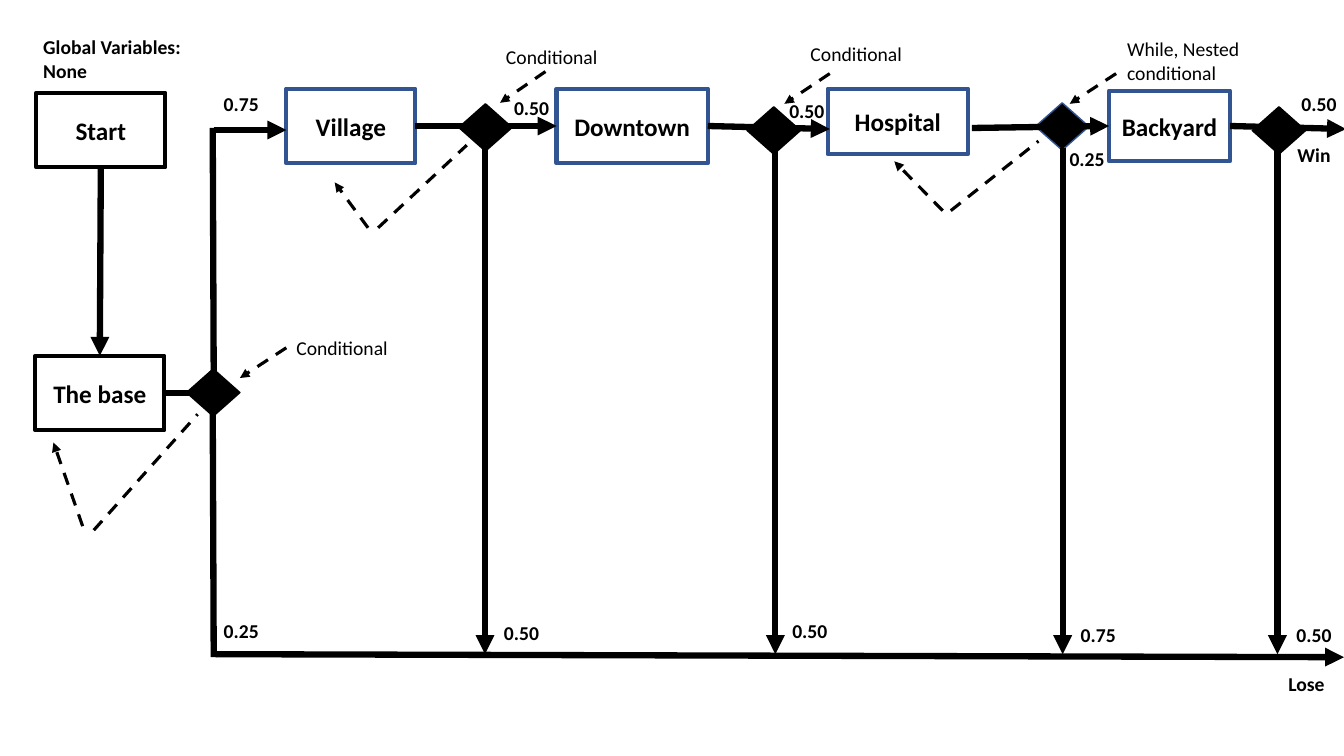
from lxml.etree import SubElement
from pptx import Presentation
from pptx.dml.color import RGBColor
from pptx.enum.dml import MSO_LINE_DASH_STYLE as Dash
from pptx.enum.shapes import MSO_CONNECTOR as Link, MSO_SHAPE as Shape
from pptx.enum.text import MSO_ANCHOR as Anchor, MSO_AUTO_SIZE as Fit, PP_ALIGN as Align
from pptx.oxml.ns import qn
from pptx.util import Inches, Pt

BLACK, BLUE = "000000", "325491"
TOP, LEFT, BOTTOM, RIGHT = range(4)
EXIT_TOP, LOSE_Y = 1.47, 6.49

# name: left, top, width, height, outline
ROOMS = {
    "Start": (0.36, 0.92, 1.28, 0.74, BLACK),
    "The base": (0.35, 3.53, 1.28, 0.74, BLACK),
    "Village": (2.84, 0.88, 1.28, 0.74, BLUE),
    "Downtown": (5.52, 0.88, 1.5, 0.74, BLUE),
    "Hospital": (8.21, 0.88, 1.39, 0.65, BLUE),
    "Backyard": (11, 0.9, 1.2, 0.7, BLUE),
}
# left, top, outline
CHOICES = [
    (1.85, 3.66, BLACK), (4.55, 1.03, BLACK), (7.41, 1.06, BLACK),
    (10.27, 1.02, BLUE), (12.42, 1.06, BLACK),
]
EXITS = [4.81, 7.69, 10.54, 12.67]
# start, end, arrowhead, joined room and side at the start, at the end
FLOWS = [
    ((1, 1.66), (0.99, 3.53), True, ("Start", BOTTOM), ("The base", TOP)),
    ((1.63, 3.9), (2.14, 3.9), False, ("The base", RIGHT), None),
    ((2.12, 3.75), (2.11, 1.27), False, None, None),
    ((2.12, 1.29), (2.84, 1.29), True, None, None),
    ((2.12, 6.52), (2.11, 4.06), False, None, None),
    ((2.14, 6.49), (13.33, 6.52), True, None, None),
    ((4.12, 1.25), (5.52, 1.25), True, ("Village", RIGHT), ("Downtown", LEFT)),
    ((7.02, 1.25), (8.23, 1.28), True, ("Downtown", RIGHT), None),
    ((9.64, 1.27), (11, 1.25), True, None, ("Backyard", LEFT)),
    ((12.2, 1.25), (13.35, 1.28), True, ("Backyard", RIGHT), None),
]
# start, end, arrowhead
HINTS = [
    ((2.84, 3.45), (2.38, 3.75), True),
    ((5.41, 0.71), (4.96, 1.02), True),
    ((8.23, 0.73), (7.78, 1.03), True),
    ((11.07, 0.73), (10.61, 1.03), True),
    ((0.82, 5.22), (0.53, 4.39), True),
    ((0.93, 5.26), (1.96, 4.11), False),
    ((3.65, 2.26), (3.32, 1.81), True),
    ((3.75, 2.26), (4.63, 1.44), False),
    ((9.35, 2.09), (8.87, 1.6), True),
    ((9.43, 2.09), (10.3, 1.4), False),
]
# text, left, top
ODDS = [
    ("0.75", 2.12, 0.86), ("0.25", 2.12, 6.09),
    ("0.50", 5, 0.9), ("0.50", 4.9, 6.11),
    ("0.50", 7.73, 0.93), ("0.50", 7.76, 6.09),
    ("0.25", 10.51, 1.41), ("0.75", 10.62, 6.13),
    ("0.50", 12.81, 0.86), ("0.50", 12.76, 6.13),
    ("Win", 12.77, 1.37), ("Lose", 12.68, 6.62),
]
# text, left, top, width, height, bold
NOTES = [
    ("Conditional", 2.84, 3.28, 1.21, 0.34, False),
    ("Conditional", 4.92, 0.4, 1.21, 0.34, False),
    ("Conditional", 7.94, 0.37, 1.21, 0.34, False),
    ("While, Nested conditional", 11.08, 0.32, 1.61, 0.57, False),
    ("Global Variables:\nNone", 0.33, 0.3, 1.61, 0.57, True),
]


def color(code):
    return RGBColor.from_string(code)


def write(frame, text, size, bold):
    frame.word_wrap = True
    frame.text = text
    for para in frame.paragraphs:
        font = para.font
        font.name, font.size, font.bold = "Calibri", Pt(size), bold
        font.color.rgb = color(BLACK)


def add_form(slide, kind, left, top, width, height, edge, weight):
    form = slide.shapes.add_shape(
        kind, Inches(left), Inches(top), Inches(width), Inches(height))
    form.shadow.inherit = False
    form.line.color.rgb = color(edge)
    form.line.width = Pt(weight)
    return form


def add_room(slide, name, left, top, width, height, edge):
    room = add_form(slide, Shape.RECTANGLE, left, top, width, height, edge, 3)
    room.fill.background()
    frame = room.text_frame
    write(frame, name, 18, True)
    frame.vertical_anchor = Anchor.MIDDLE
    frame.paragraphs[0].alignment = Align.CENTER
    return room


def add_choice(slide, left, top, edge):
    choice = add_form(slide, Shape.DIAMOND, left, top, 0.53, 0.47, edge, 1)
    choice.fill.solid()
    choice.fill.fore_color.rgb = color(BLACK)


def add_line(slide, start, end, weight, arrow):
    line = slide.shapes.add_connector(
        Link.STRAIGHT, *(Inches(n) for n in start + end))
    line.line.color.rgb = color(BLACK)
    line.line.width = Pt(weight)
    if arrow:
        SubElement(line.line._get_or_add_ln(), qn("a:tailEnd"), type="triangle")
    SubElement(line._element.spPr, qn("a:effectLst"))
    return line


def add_label(slide, text, left, top, width=0.76, height=0.34, bold=True):
    box = slide.shapes.add_textbox(
        Inches(left), Inches(top), Inches(width), Inches(height))
    write(box.text_frame, text, 14, bold)
    box.text_frame.auto_size = Fit.SHAPE_TO_FIT_TEXT


def main():
    deck = Presentation()
    deck.slide_width, deck.slide_height = Inches(13.33), Inches(7.5)
    slide = deck.slides.add_slide(deck.slide_layouts[6])

    rooms = {name: add_room(slide, name, *spot) for name, spot in ROOMS.items()}
    for choice in CHOICES:
        add_choice(slide, *choice)

    for start, end, arrow, source, target in FLOWS:
        flow = add_line(slide, start, end, 4.5, arrow)
        if source:
            flow.begin_connect(rooms[source[0]], source[1])
        if target:
            flow.end_connect(rooms[target[0]], target[1])
    for x in EXITS:
        add_line(slide, (x, EXIT_TOP), (x, LOSE_Y), 4.5, True)
    for start, end, arrow in HINTS:
        hint = add_line(slide, start, end, 2.25, arrow)
        hint.line.dash_style = Dash.DASH

    for label in ODDS + NOTES:
        add_label(slide, *label)
    deck.save("out.pptx")


if __name__ == "__main__":
    main()
